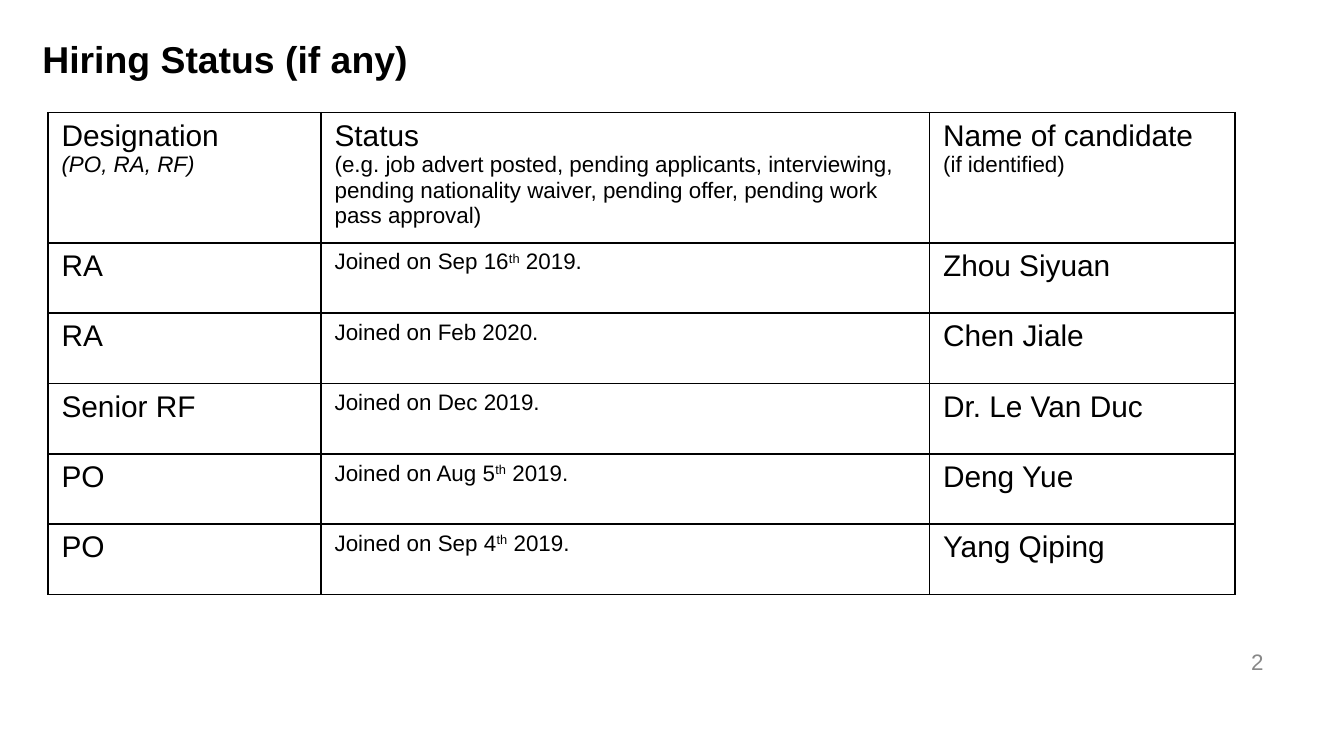
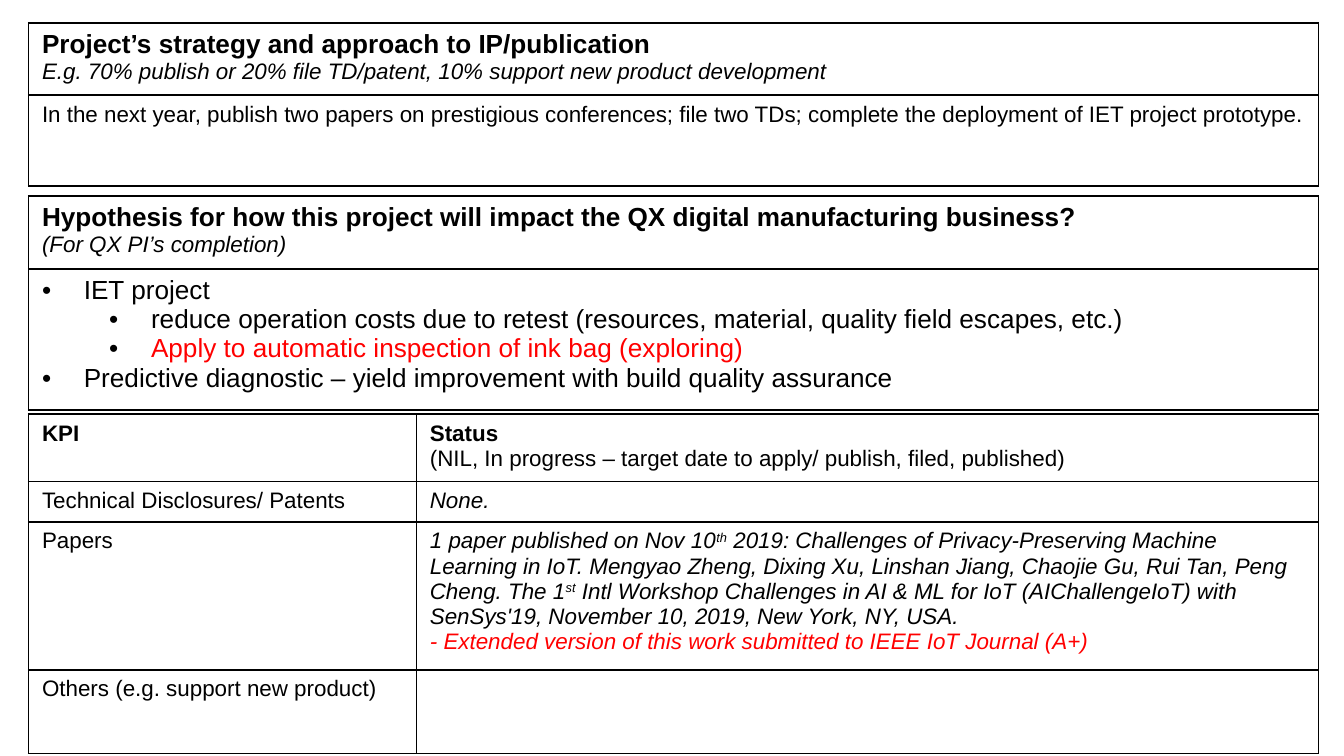
"""Build the hiring status slide and the project impact slide."""
from lxml.etree import SubElement
from pptx import Presentation
from pptx.dml.color import RGBColor
from pptx.enum.text import MSO_ANCHOR, MSO_AUTO_SIZE, PP_ALIGN
from pptx.oxml.ns import qn
from pptx.util import Cm, Pt

HUES = {"ink": "000000", "paper": "FFFFFF", "red": "FF0000", "grey": "888888"}
FACE = "Arial"
WIDE = 24.38
LEFT = 0.54


def write(par, text, size, marks="", hue="ink"):
    if "*" in marks or "-" in marks:
        deep = "-" in marks
        par.level = int(deep)
        props = par._p.get_or_add_pPr()
        props.set("marL", str(Cm(2.06 if deep else 0.79)))
        props.set("indent", str(-Cm(0.79)))
        tint = SubElement(props, qn("a:buClr"))
        SubElement(tint, qn("a:srgbClr"), val=HUES["ink"])
        SubElement(props, qn("a:buFont"), typeface=FACE)
        SubElement(props, qn("a:buChar"), char="•")
    for num, part in enumerate(text.split("^")):
        run = par.add_run()
        run.text = part
        font = run.font
        font.name, font.size = FACE, Pt(size)
        font.bold, font.italic = "b" in marks, "i" in marks
        font.color.rgb = RGBColor.from_string(HUES[hue])
        if num % 2:
            run._r.get_or_add_rPr().set("baseline", "30000")


def grid(slide, left, top, cols, rows, cells):
    frame = slide.shapes.add_table(len(rows), len(cols), Cm(left), Cm(top),
                                   Cm(sum(cols)), Cm(sum(rows)))
    table = frame.table
    table.first_row = table.horz_banding = False
    for col, width in zip(table.columns, cols):
        col.width = Cm(width)
    for row, height in zip(table.rows, rows):
        row.height = Cm(height)
    for cell, lines in zip(table.iter_cells(), sum(cells, [])):
        props = cell._tc.get_or_add_tcPr()
        for side in ("lnL", "lnR", "lnT", "lnB"):
            edge = SubElement(props, qn(f"a:{side}"), w=str(Pt(1)))
            fill = SubElement(edge, qn("a:solidFill"))
            SubElement(fill, qn("a:srgbClr"), val=HUES["ink"])
        cell.fill.solid()
        cell.fill.fore_color.rgb = RGBColor.from_string(HUES["paper"])
        frame = cell.text_frame
        for num, line in enumerate(lines):
            write(frame.add_paragraph() if num else frame.paragraphs[0], *line)


deck = Presentation()
deck.slide_width, deck.slide_height = Cm(25.4), Cm(14.29)

hire = deck.slides.add_slide(deck.slide_layouts[5])
title = hire.shapes.title
title.left, title.top, title.width, title.height = Cm(0.61), Cm(0.58), Cm(22.05), Cm(1.04)
frame = title.text_frame
frame.auto_size = MSO_AUTO_SIZE.NONE
frame.word_wrap = True
frame.vertical_anchor = MSO_ANCHOR.TOP
frame.margin_left = frame.margin_right = Cm(0.19)
frame.margin_top = frame.margin_bottom = Cm(0.1)
frame.paragraphs[0].alignment = PP_ALIGN.LEFT
write(frame.paragraphs[0], "Hiring Status (if any)", 20, "b")

page = hire.shapes.add_textbox(Cm(18.21), Cm(12.12), Cm(5.92), Cm(0.76))
frame = page.text_frame
frame.word_wrap = True
frame.vertical_anchor = MSO_ANCHOR.MIDDLE
frame.paragraphs[0].alignment = PP_ALIGN.RIGHT
write(frame.paragraphs[0], "2", 12, "", "grey")

staff = [
    ("RA", "Joined on Sep 16^th^ 2019.", "Zhou Siyuan"),
    ("RA", "Joined on Feb 2020.", "Chen Jiale"),
    ("Senior RF", "Joined on Dec 2019.", "Dr. Le Van Duc"),
    ("PO", "Joined on Aug 5^th^ 2019.", "Deng Yue"),
    ("PO", "Joined on Sep 4^th^ 2019.", "Yang Qiping"),
]
head = [
    [("Designation", 16), ("(PO, RA, RF)", 12, "i")],
    [("Status", 16),
     ("(e.g. job advert posted, pending applicants, interviewing, pending "
      "nationality waiver, pending offer, pending work pass approval)", 12)],
    [("Name of candidate", 16), ("(if identified)", 12)],
]
body = [[[(role, 16)], [(state, 12)], [(name, 16)]] for role, state, name in staff]
grid(hire, 0.91, 2.13, [5.16, 11.5, 5.77], [2.46] + [1.33] * len(staff), [head] + body)

plan = deck.slides.add_slide(deck.slide_layouts[6])
grid(plan, LEFT, 0.43, [WIDE], [1.37, 1.72], [
    [[("Project’s strategy and approach to IP/publication", 14, "b"),
      ("E.g. 70% publish or 20% file TD/patent, 10% support new product development",
       12, "i")]],
    [[("In the next year, publish two papers on prestigious conferences; file two TDs; "
       "complete the deployment of IET project prototype.", 12)]],
])
grid(plan, LEFT, 3.71, [WIDE], [1.37, 2.67], [
    [[("Hypothesis for how this project will impact the QX digital manufacturing business?",
       14, "b"),
      ("(For QX PI’s completion)", 12, "i")]],
    [[("IET project", 14, "*"),
      ("reduce operation costs due to retest (resources, material, quality field "
       "escapes, etc.)", 14, "-"),
      ("Apply to automatic inspection of ink bag (exploring)", 14, "-", "red"),
      ("Predictive diagnostic – yield improvement with build quality assurance", 14, "*")]],
])
grid(plan, LEFT, 7.83, [7.33, WIDE - 7.33], [1.27, 0.76, 2.79, 1.58], [
    [[("KPI", 12, "b")],
     [("Status", 12, "b"),
      ("(NIL, In progress – target date to apply/ publish, filed, published)", 12)]],
    [[("Technical Disclosures/ Patents", 12)], [("None.", 12, "i")]],
    [[("Papers", 12)],
     [("1 paper published on Nov 10^th^ 2019: Challenges of Privacy-Preserving Machine "
       "Learning in IoT. Mengyao Zheng, Dixing Xu, Linshan Jiang, Chaojie Gu, Rui Tan, "
       "Peng Cheng. The 1^st^ Intl Workshop Challenges in AI & ML for IoT "
       "(AIChallengeIoT) with SenSys'19, November 10, 2019, New York, NY, USA.", 12, "i"),
      ("- Extended version of this work submitted to IEEE IoT Journal (A+)",
       12, "i", "red")]],
    [[("Others (e.g. support new product)", 12)], []],
])

deck.save("out.pptx")
